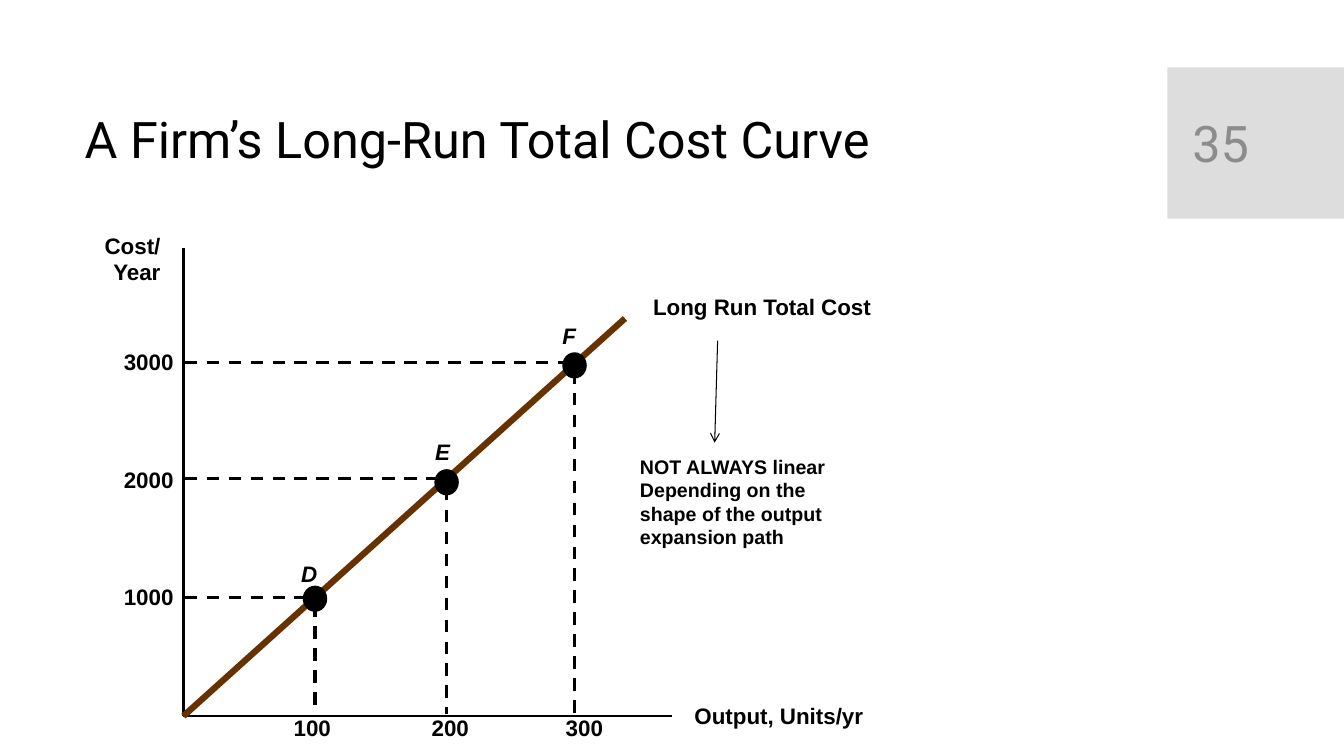
from typing import NamedTuple

from lxml import etree
from pptx import Presentation
from pptx.dml.color import RGBColor
from pptx.enum.dml import MSO_LINE
from pptx.enum.shapes import MSO_CONNECTOR, MSO_SHAPE
from pptx.enum.text import MSO_ANCHOR, PP_ALIGN
from pptx.oxml.ns import qn
from pptx.util import Pt

STRAIGHT = MSO_CONNECTOR.STRAIGHT
RECTANGLE, OVAL = MSO_SHAPE.RECTANGLE, MSO_SHAPE.OVAL
DASH = MSO_LINE.DASH
LEFT, RIGHT = PP_ALIGN.LEFT, PP_ALIGN.RIGHT
TOP, MIDDLE = MSO_ANCHOR.TOP, MSO_ANCHOR.MIDDLE

COLORS = {"ink": "000000", "curve": "663300", "badge": "DDDDDD", "number": "8C8C8C"}
LABEL_HEIGHT = 26
DOT_WIDTH, DOT_HEIGHT = 17.5, 18.7


class CostPoint(NamedTuple):
    letter: str
    output: int
    cost: int
    across: float
    up: float
    dot_up: float
    letter_across: float
    letter_up: float
    output_right: float


COST_POINTS = [
    CostPoint("D", 100, 1000, 94, 84.5, 83.8, 77.1, 114.8, 112.4),
    CostPoint("E", 200, 2000, 188, 169.5, 167, 172.8, 201.9, 211),
    CostPoint("F", 300, 3000, 279.4, 252.3, 250.5, 263.6, 284.7, 306.8),
]


def color(name):
    return RGBColor.from_string(COLORS[name])


def points(box):
    return [Pt(length) for length in box]


def style_font(font, size, name="Arial", ink="ink", bold=None, italic=None):
    font.name, font.size, font.bold, font.italic = name, Pt(size), bold, italic
    font.color.rgb = color(ink)


def add_text(page, box, lines, size=16, align=LEFT, wrap=True, anchor=TOP,
             name="Arial", ink="ink", bold=True, italic=None):
    frame = page.shapes.add_textbox(*points(box)).text_frame
    frame.word_wrap = wrap
    frame.vertical_anchor = anchor
    frame.text = lines
    for para in frame.paragraphs:
        para.alignment = align
        style_font(para.font, size, name, ink, bold, italic)


def add_line(page, start, end, width, ink="ink", dash=None):
    line = page.shapes.add_connector(STRAIGHT, *points((*start, *end)))
    line.line.color.rgb = color(ink)
    line.line.width = Pt(width)
    if dash:
        line.line.dash_style = dash
    etree.SubElement(line._element.spPr, qn("a:effectLst"))
    return line


def add_filled(page, kind, box, fill):
    shape = page.shapes.add_shape(kind, *points(box))
    shape.shadow.inherit = False
    shape.fill.solid()
    shape.fill.fore_color.rgb = color(fill)
    shape.line.fill.background()


def add_title(page, box):
    title = page.shapes.title
    title.left, title.top, title.width, title.height = points(box)
    frame = title.text_frame
    frame.text = "A Firm’s Long-Run Total Cost Curve"
    frame.vertical_anchor = MIDDLE
    para = frame.paragraphs[0]
    para.alignment = LEFT
    para.line_spacing = 0.9
    style_font(para.font, 36, "Roboto")


def add_page_number(page, box):
    left, top, width, height = box
    add_filled(page, RECTANGLE, box, "badge")
    add_text(page, (left + 10.8, top + 10.8, 90.7, 85.7), "35", 36,
             anchor=MIDDLE, name="Roboto", ink="number", bold=None)


def add_axes(page, box):
    left, top, width, height = box
    bottom = top + height
    add_line(page, (left, bottom), (left + width, bottom), 2)
    add_line(page, (left, top), (left, bottom), 2)
    add_text(page, (left - 77.7, top - 15, 68.4, 45.4), "Cost/ Year", align=RIGHT)
    add_text(page, (left + width + 9, bottom - 13.3, 136.8, LABEL_HEIGHT),
             "Output, Units/yr", wrap=False)
    for step, point in enumerate(COST_POINTS, 1):
        add_text(page, (left - 56, bottom - 84.2 * step - 14, 56, LABEL_HEIGHT),
                 str(point.cost), align=RIGHT)
        add_text(page, (left + point.output_right - 48, bottom - 4.6, 48, LABEL_HEIGHT),
                 str(point.output), align=RIGHT)


def add_cost_curve(page, box):
    left, top, width, height = box
    bottom = top + height
    add_line(page, (left, bottom), (left + 315.4, bottom - 284), 4.5, "curve")
    for point in COST_POINTS:
        x, level, dot = left + point.across, bottom - point.up, bottom - point.dot_up
        add_line(page, (left + 1, level), (x - 7, level), 2.25, dash=DASH)
        add_line(page, (x, dot + 4), (x, bottom - 1.5), 2.25, dash=DASH)
        add_filled(page, OVAL, (x - DOT_WIDTH / 2, dot - DOT_HEIGHT / 2,
                                DOT_WIDTH, DOT_HEIGHT), "ink")
        add_text(page, (left + point.letter_across, bottom - point.letter_up,
                        25.5, LABEL_HEIGHT), point.letter, wrap=False, italic=True)


def add_curve_note(page, box):
    left, top, width, height = box
    add_text(page, (left + 9.4, top, 171.4, LABEL_HEIGHT), "Long Run Total Cost", wrap=False)
    arrow = add_line(page, (left + 62.6, top + 37.4), (left + 60.5, top + 110.2), 0.75)
    etree.SubElement(arrow.line._get_or_add_ln(), qn("a:tailEnd"), type="arrow")
    add_text(page, (left, top + 115.2, 147.6, height - 115.2),
             "NOT ALWAYS linear\nDepending on the shape of the output expansion path", 14)


def main():
    deck = Presentation()
    deck.slide_width, deck.slide_height = Pt(960), Pt(540)
    page = deck.slides.add_slide(deck.slide_layouts[5])
    plot = (131, 177, 349, 334.5)
    add_title(page, (53.3, 59, 756.7, 85))
    add_page_number(page, (833.8, 48.2, 126.2, 108))
    add_axes(page, plot)
    add_cost_curve(page, plot)
    add_curve_note(page, (450, 206, 181, 190))
    deck.save("out.pptx")


if __name__ == "__main__":
    main()
